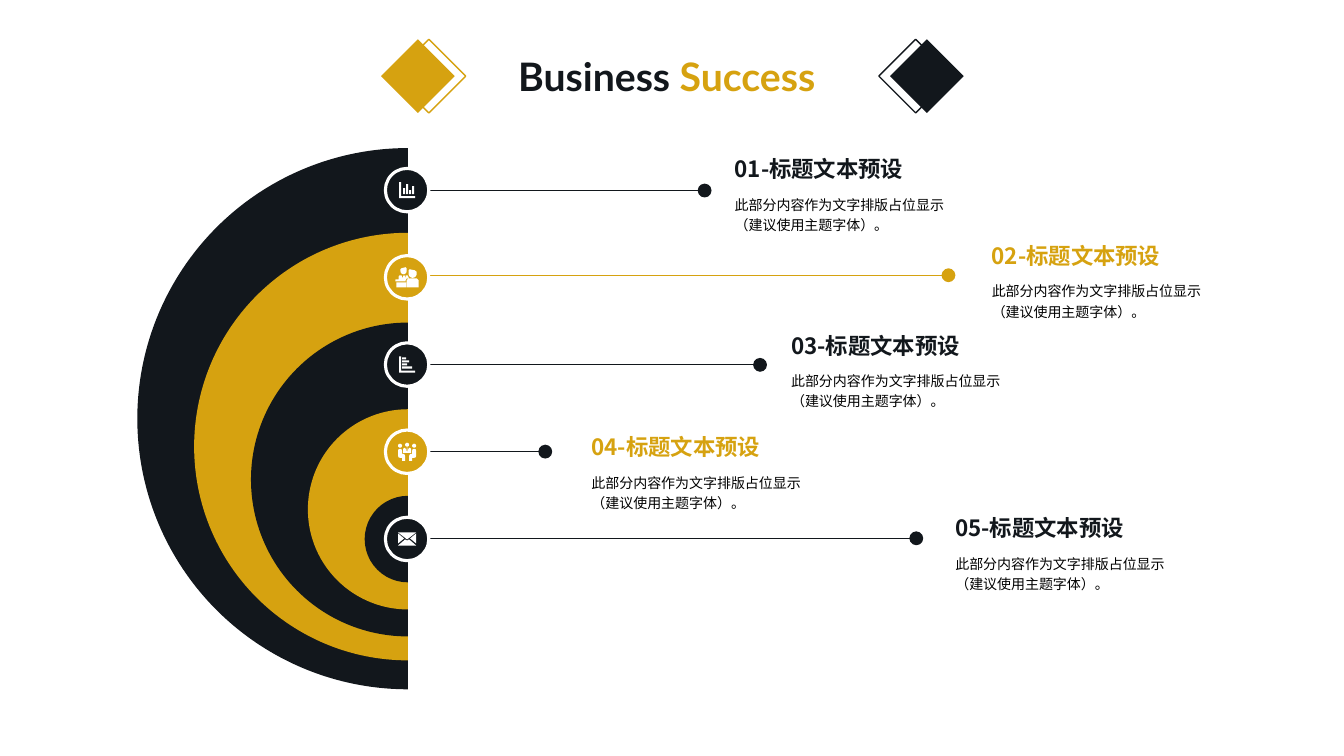
"""Build the Business Success slide: nested half rings with five labelled callouts."""
from dataclasses import dataclass
from math import cos, radians, sin
from typing import Optional

from lxml import etree
from pptx import Presentation
from pptx.dml.color import RGBColor
from pptx.enum.shapes import MSO_CONNECTOR, MSO_SHAPE
from pptx.enum.text import MSO_ANCHOR, MSO_AUTO_SIZE
from pptx.oxml.ns import qn
from pptx.util import Pt

PIE, OVAL, DIAMOND = MSO_SHAPE.PIE, MSO_SHAPE.OVAL, MSO_SHAPE.DIAMOND
STRAIGHT = MSO_CONNECTOR.STRAIGHT
MIDDLE = MSO_ANCHOR.MIDDLE
FIT_SHAPE = MSO_AUTO_SIZE.SHAPE_TO_FIT_TEXT

DARK, GOLD, WHITE, BLACK = "12171C", "D6A210", "FFFFFF", "000000"
CJK_FONT, TITLE_FONT = "Noto Sans CJK SC", "Lato"
BODY = "此部分内容作为文字排版占位显示（建议使用主题字体）。"

AXIS_X = 291.4
RING_SIZE, RING_STEP = 386.6, 81.2
BADGE_SIZE, BADGE_TOP, BADGE_STEP = 31, 120.3, 62.3
BADGE_X = 290.8
LEADER_X = 306.7
LABEL_WIDTH, HEADING_HEIGHT, BODY_HEIGHT, BODY_DROP = 165, 25.2, 31.7, 28.4
DIAMOND_SIZE, DIAMOND_TOP = 52.6, 28.1
ICON_GRID = 0.72
ICON_DETAIL = 10

Outline = list[tuple[float, float]]


@dataclass
class Icon:
    width: float
    height: float
    outlines: list[Outline]


@dataclass
class Level:
    heading: str
    color: str
    leader_color: str
    ring_top: float
    leader_y: float
    leader_end: float
    text_left: float
    text_top: float
    icon: Icon


@dataclass
class Emblem:
    left: float
    color: str
    solid: bool


def bar(x: float, y: float, width: float, height: float) -> Outline:
    return [(x, y), (x + width, y), (x + width, y + height), (x, y + height)]


def arc(x: float, y: float, radius: float, sweep: int = 360) -> Outline:
    return [(x + radius * cos(radians(a)), y + radius * sin(radians(a)))
            for a in range(0, sweep + 1, 15)]


def mirrored(outline: Outline, width: float) -> Outline:
    return [(width - x, y) for x, y in outline]


AXES = [(0, 0), (2, 0), (2, 14), (16, 14), (16, 16), (0, 16)]
SEATED = [(16, 6), (17.5, 6.5), (18, 8), (18, 13), (17.5, 14.5), (16, 15), (14, 15),
          (14, 18), (11, 18), (11, 13), (12, 11), (14, 11), (14, 8), (14.5, 6.5)]
FLAP_SIDE = [(12, 6), (18, 11), (18, 1)]

COLUMNS = Icon(16, 16, [AXES] + [
    bar(4 + 3 * i, top, 2, 12 - top) for i, top in enumerate((6, 2, 8, 4))])
ROWS = Icon(16, 16, [AXES] + [
    bar(3, 1 + 3 * i, width, 2) for i, width in enumerate((4, 7, 5, 10))])
INTERVIEW = Icon(23, 20, [
    bar(1, 15, 9.5, 5),
    [(11, 13), (13, 11), (21, 11), (23, 13), (23, 20), (11, 20)],
    [(0, 12.2), (3, 12), (3, 9.5), (4, 8), (6, 8), (7, 11), (8, 8), (9, 8), (10, 11),
     (10, 8), (12, 8), (13, 10), (13, 11), (11, 11.3), (10, 13), (10, 14), (0, 14)],
    arc(17, 6.5, 4, 180) + [(13, 3), (14, 2), (19, 3), (21, 4.5)],
    arc(8, 4, 3, 180) + [(5, 2), (6, 1), (10, 0), (11, 1)],
])
TEAM = Icon(18, 18, [
    SEATED, mirrored(SEATED, 18),
    [(7, 5), (9, 9), (11, 5), (12.5, 5.5), (13, 7), (13, 10), (5, 10), (5, 7), (5.5, 5.5)],
    [(8.5, 5), (9.5, 5), (9.2, 5.8), (9.4, 7), (9, 7.5), (8.6, 7), (8.8, 5.8)],
    arc(16, 3, 2), arc(2, 3, 2), arc(9, 2, 2),
])
ENVELOPE = Icon(18, 13, [
    FLAP_SIDE, mirrored(FLAP_SIDE, 18),
    [(11, 7), (9, 8), (7, 7), (0, 13), (18, 13)],
    [(0, 0), (18, 0), (9, 7)],
])

LEVELS = [
    Level("01-标题文本预设", DARK, DARK, 105.8, 136.1, 503.3, 513.4, 108, COLUMNS),
    Level("02-标题文本预设", GOLD, GOLD, 166.3, 196.6, 677.5, 697, 169.9, INTERVIEW),
    Level("03-标题文本预设", DARK, DARK, 230.4, 260.6, 542.9, 553.7, 234, ROWS),
    Level("04-标题文本预设", GOLD, DARK, 292.3, 322.6, 389.5, 411.1, 306.7, TEAM),
    Level("05-标题文本预设", DARK, DARK, 354.2, 384.5, 654.5, 671, 364.3, ENVELOPE),
]
EMBLEMS = [Emblem(272.2, GOLD, True), Emblem(280.1, GOLD, False),
           Emblem(635.8, DARK, True), Emblem(627.8, DARK, False)]


def rgb(color: str) -> RGBColor:
    return RGBColor.from_string(color)


def paint(shape, fill: Optional[str], line: Optional[str] = None, width: float = 1) -> None:
    shape.shadow.inherit = False
    if fill:
        shape.fill.solid()
        shape.fill.fore_color.rgb = rgb(fill)
    else:
        shape.fill.background()
    if line:
        shape.line.color.rgb = rgb(line)
        shape.line.width = Pt(width)
    else:
        shape.line.fill.background()


def add_square(shapes, kind, left: float, top: float, size: float):
    return shapes.add_shape(kind, Pt(left), Pt(top), Pt(size), Pt(size))


def add_ring(shapes, index: int, level: Level) -> None:
    size = RING_SIZE - RING_STEP * index
    ring = add_square(shapes, PIE, AXIS_X - size / 2, level.ring_top, size)
    ring.adjustments[0], ring.adjustments[1] = 54, 162
    paint(ring, level.color)


def add_badge(shapes, index: int, level: Level) -> None:
    top = BADGE_TOP + BADGE_STEP * index
    badge = add_square(shapes, OVAL, BADGE_X - BADGE_SIZE / 2, top, BADGE_SIZE)
    paint(badge, level.color, WHITE, 2.25)
    icon = level.icon
    builder = shapes.build_freeform(scale=Pt(ICON_GRID) / ICON_DETAIL)
    for outline in icon.outlines:
        points = [(x * ICON_DETAIL, y * ICON_DETAIL) for x, y in outline]
        builder.move_to(*points[0])
        builder.add_line_segments(points[1:], close=True)
    glyph = builder.convert_to_shape(
        Pt(BADGE_X - icon.width * ICON_GRID / 2),
        Pt(top + (BADGE_SIZE - icon.height * ICON_GRID) / 2))
    paint(glyph, WHITE)


def add_leader(shapes, level: Level) -> None:
    y = Pt(level.leader_y)
    leader = shapes.add_connector(STRAIGHT, Pt(LEADER_X), y, Pt(level.leader_end), y)
    leader.line.color.rgb = rgb(level.leader_color)
    leader.line.width = Pt(0.5)
    outline = leader._element.spPr.find(qn("a:ln"))
    etree.SubElement(outline, qn("a:tailEnd"), type="oval", w="lg", len="lg")
    etree.SubElement(leader._element.spPr, qn("a:effectLst"))


def add_label(shapes, left: float, top: float, height: float, text: str, size: float,
              color: str, bold: bool, spacing: float) -> None:
    frame = shapes.add_textbox(Pt(left), Pt(top), Pt(LABEL_WIDTH), Pt(height)).text_frame
    frame.margin_left = Pt(11.4)
    frame.margin_top = frame.margin_right = frame.margin_bottom = 0
    frame.vertical_anchor = MIDDLE
    frame.word_wrap = True
    paragraph = frame.paragraphs[0]
    paragraph.text = text
    paragraph.line_spacing = spacing
    font = paragraph.font
    font.size, font.bold, font.name = Pt(size), bold, CJK_FONT
    font.color.rgb = rgb(color)
    properties = paragraph._p.find(".//" + qn("a:defRPr"))
    etree.SubElement(properties, qn("a:ea"), typeface=CJK_FONT)


def add_title(shapes) -> None:
    frame = shapes.add_textbox(Pt(363), Pt(34), Pt(234), Pt(41)).text_frame
    frame.word_wrap = False
    frame.auto_size = FIT_SHAPE
    paragraph = frame.paragraphs[0]
    paragraph.font.size, paragraph.font.bold = Pt(28), True
    paragraph.font.name = TITLE_FONT
    for word, color in (("Business ", DARK), ("Success", GOLD)):
        run = paragraph.add_run()
        run.text = word
        run.font.color.rgb = rgb(color)


def main() -> None:
    deck = Presentation()
    deck.slide_width, deck.slide_height = Pt(960), Pt(540)
    shapes = deck.slides.add_slide(deck.slide_layouts[6]).shapes
    for index, level in enumerate(LEVELS):
        add_ring(shapes, index, level)
    for index, level in enumerate(LEVELS):
        add_leader(shapes, level)
        add_badge(shapes, index, level)
        left, top = level.text_left, level.text_top
        add_label(shapes, left, top, HEADING_HEIGHT, level.heading, 16, level.color, True, 1.0)
        add_label(shapes, left, top + BODY_DROP, BODY_HEIGHT, BODY, 10, BLACK, False, 1.2)
    for emblem in EMBLEMS:
        diamond = add_square(shapes, DIAMOND, emblem.left, DIAMOND_TOP, DIAMOND_SIZE)
        paint(diamond, emblem.color if emblem.solid else None,
              None if emblem.solid else emblem.color)
    add_title(shapes)
    deck.save("out.pptx")


if __name__ == "__main__":
    main()
